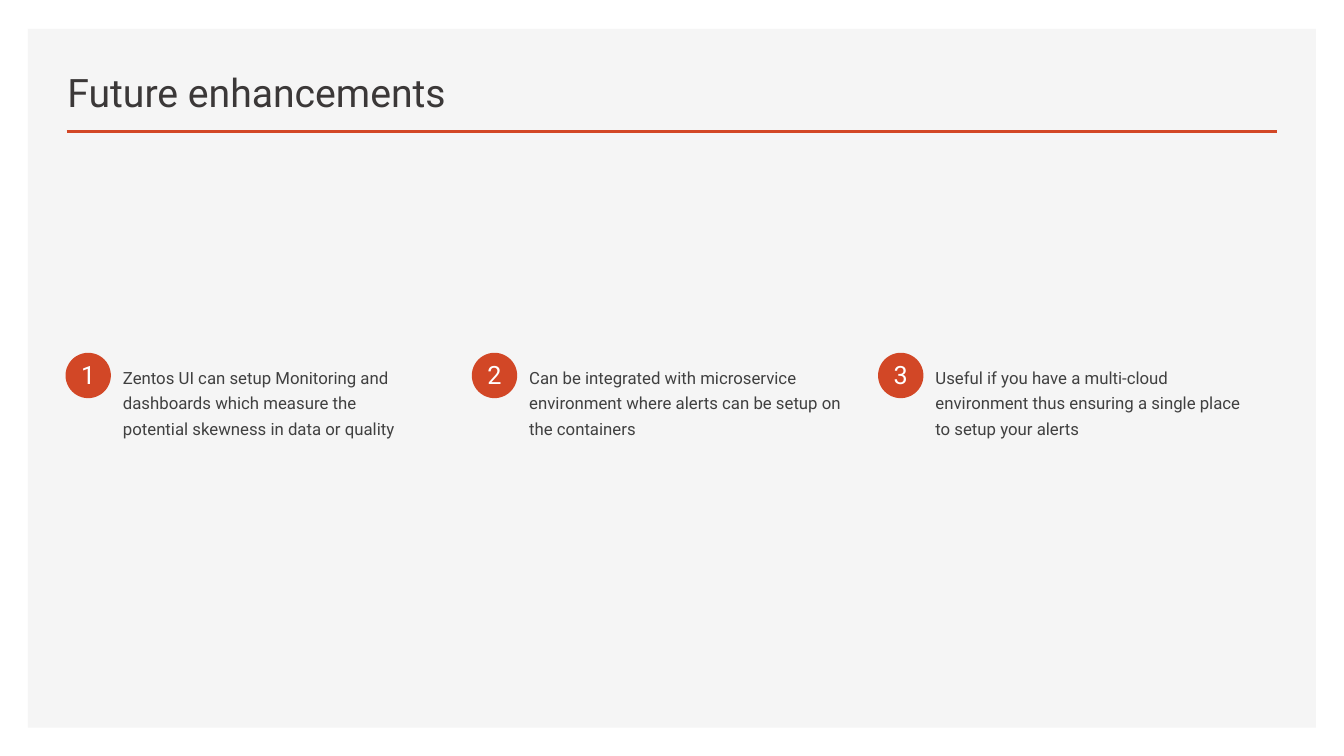
from pptx import Presentation
from pptx import util as u
from pptx.dml import color
from pptx.enum import shapes, text
from pptx.oxml import xmlchemy

Pt = u.Pt
COLORS = {"panel": "F5F5F5", "accent": "D24726", "title": "3B3838",
          "body": "404040", "number": "FFFFFF"}
FONT = "Roboto"
COLUMN_STEP = 290.2

# Wording and text width of each column
ENHANCEMENTS = [
    ("Zentos UI can setup Monitoring and dashboards which measure the "
     "potential skewness in data or quality", 229.7),
    ("Can be integrated with microservice environment where alerts can be "
     "setup on the containers", 244.8),
    ("Useful if you have a multi-cloud environment thus ensuring a single "
     "place to setup your alerts", 244.8),
]

TITLE_FRAME = {"vertical_anchor": text.MSO_ANCHOR.BOTTOM}
NUMBER_FRAME = {"auto_size": text.MSO_AUTO_SIZE.SHAPE_TO_FIT_TEXT}
NUMBER_PARAGRAPH = {"alignment": text.PP_ALIGN.CENTER}
BODY_PARAGRAPH = {"line_spacing": Pt(18), "space_before": Pt(10),
                  "space_after": Pt(20)}


def rgb(name):
    return color.RGBColor.from_string(COLORS[name])


def apply_format(target, values):
    for attribute, value in values.items():
        setattr(target, attribute, value)


def add_filled(parent, preset, box, fill):
    area = parent.add_shape(preset, *map(Pt, box))
    area.shadow.inherit = False
    area.fill.solid()
    area.fill.fore_color.rgb = rgb(fill)
    area.line.fill.background()


def add_words(parent, wording, box, size, ink, frame_format=None,
              paragraph_format=None):
    frame = parent.add_textbox(*map(Pt, box)).text_frame
    apply_format(frame, {"word_wrap": True, **(frame_format or {})})
    paragraph = frame.paragraphs[0]
    apply_format(paragraph, paragraph_format or {})
    run = paragraph.add_run()
    run.text = wording
    apply_format(run.font, {"name": FONT, "size": Pt(size)})
    run.font.color.rgb = rgb(ink)


def add_rule(parent, left, right, y):
    rule = parent.add_connector(shapes.MSO_CONNECTOR.STRAIGHT,
                                Pt(left), Pt(y), Pt(right), Pt(y))
    rule.line.width = Pt(2)
    rule.line.color.rgb = rgb("accent")
    properties = rule._element.spPr
    properties.append(xmlchemy.OxmlElement("a:effectLst"))


def add_badge(parent, number, left):
    badge = parent.add_group_shape().shapes
    add_filled(badge, shapes.MSO_SHAPE.OVAL, (left, 252, 32.4, 32.4), "accent")
    add_words(badge, str(number), (left - 5.7, 253.4, 43.9, 28.8), 18, "number",
              NUMBER_FRAME, NUMBER_PARAGRAPH)


def main():
    deck = Presentation()
    apply_format(deck, {"slide_width": Pt(960), "slide_height": Pt(540)})
    slide = deck.slides.add_slide(deck.slide_layouts[6]).shapes

    # Background panel and heading
    add_filled(slide, shapes.MSO_SHAPE.RECTANGLE, (20, 20.7, 920, 499), "panel")
    add_rule(slide, 47.7, 912.3, 94)
    add_words(slide, "Future enhancements", (41, 35.3, 541.4, 50.4), 28, "title",
              TITLE_FRAME)

    # Numbered columns
    for index, (wording, width) in enumerate(ENHANCEMENTS):
        left = 46.8 + index * COLUMN_STEP
        add_badge(slide, index + 1, left)
        add_words(slide, wording, (left + 33.9, 255.6, width, 104), 12, "body",
                  paragraph_format=BODY_PARAGRAPH)

    deck.save("out.pptx")


if __name__ == "__main__":
    main()
